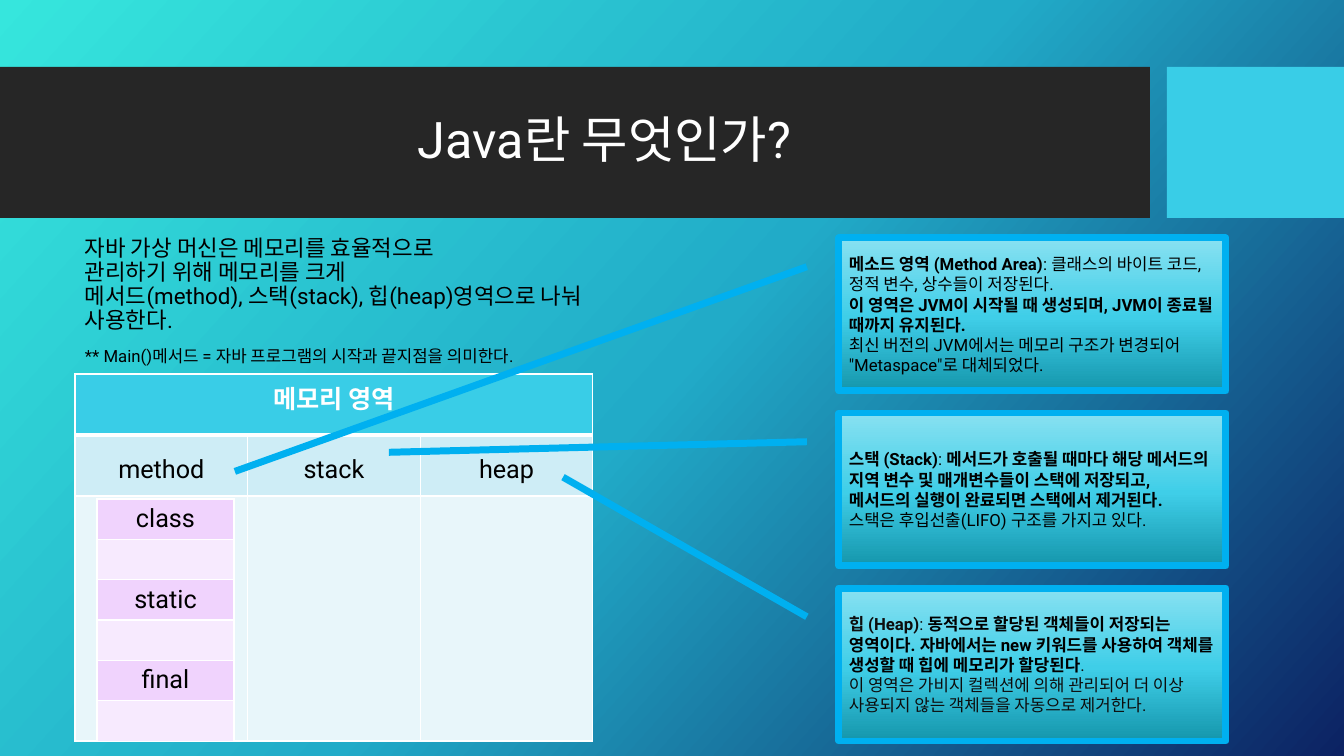
import pptx
import pptx.dml.color
import pptx.enum.shapes
import pptx.enum.text
import pptx.oxml
import pptx.oxml.ns
import pptx.util
from lxml import etree

SLIDE_W, SLIDE_H = 1344, 756
EMU_PER_PX = 914400 / 100.8
FONT = "Roboto"
BLACK, WHITE, CYAN = "000000", "FFFFFF", "39CDE7"
ALIGN = pptx.enum.text.PP_ALIGN
ANCHOR = pptx.enum.text.MSO_ANCHOR
SHAPE = pptx.enum.shapes.MSO_SHAPE

BACKGROUND_STOPS = [(0, "36E6DD"), (50, "21ABC8"), (100, "0C2263")]
CALLOUT_STOPS = [(0, "1596AC"), (48, "3FCEE8"), (100, "88E1F1")]

# Each callout: pointer tip (y, x as shares of the box), then paragraphs of (text, bold, colour)
CALLOUTS = [
    ((1.526, -1.561), [
        [("메소드 영역 (Method Area)", True, BLACK),
         (": 클래스의 바이트 코드, 정적 변수, 상수들이 저장된다.", False, BLACK)],
        [("이 영역은 JVM이 시작될 때 생성되며, JVM이 종료될 때까지 유지된다.", True, BLACK)],
        [("최신 버전의 JVM에서는 메모리 구조가 변경되어 \"Metaspace\"로 대체되었다.", False, BLACK)],
    ]),
    ((0.257, -1.163), [
        [("스택 (Stack)", True, BLACK), (": ", False, BLACK),
         ("메서드가 호출될 때마다 해당 메서드의 지역 변수 및 매개변수들이 스택에 저장되고, "
          "메서드의 실행이 완료되면 스택에서 제거된다.", True, BLACK)],
        [("스택은 후입선출(LIFO) 구조를 가지고 있다.", False, BLACK)],
    ]),
    ((-0.725, -0.713), [
        [("힙 (Heap)", True, "0D0D0D"), (": ", False, "0D0D0D"),
         ("동적으로 할당된 객체들이 저장되는 영역이다. 자바에서는 new 키워드를 사용하여 "
          "객체를 생성할 때 힙에 메모리가 할당된다", True, BLACK),
         (".", False, "0D0D0D")],
        [("이 영역은 가비지 컬렉션에 의해 관리되어 더 이상 사용되지 않는 객체들을 "
          "자동으로 제거한다.", False, "0D0D0D")],
    ]),
]


def px(length):
    return pptx.util.Emu(round(length * EMU_PER_PX))


def color(hex_code):
    return pptx.dml.color.RGBColor.from_string(hex_code)


def style(font, size, hex_code, bold=False):
    font.name, font.size, font.bold = FONT, pptx.util.Pt(size), bold
    font.color.rgb = color(hex_code)


def set_gradient(fill, element, stops, clockwise_angle):
    fill.gradient()
    fill.gradient_angle = 360 - clockwise_angle
    stop_list = element.find(".//" + pptx.oxml.ns.qn("a:gsLst"))
    for old_stop in list(stop_list):
        stop_list.remove(old_stop)
    for percent, hex_code in stops:
        stop = etree.SubElement(stop_list, pptx.oxml.ns.qn("a:gs"), pos=str(percent * 1000))
        etree.SubElement(stop, pptx.oxml.ns.qn("a:srgbClr"), val=hex_code)


def add_bar(slide, left, top, width, height, hex_code):
    bar = slide.shapes.add_shape(SHAPE.RECTANGLE, px(left), px(top), px(width), px(height))
    bar.shadow.inherit = False
    bar.fill.solid()
    bar.fill.fore_color.rgb = color(hex_code)
    bar.line.fill.background()


def add_text_frame(slide, left, top, width, height):
    frame = slide.shapes.add_textbox(px(left), px(top), px(width), px(height)).text_frame
    frame.word_wrap = True
    return frame


def add_header(slide, left, top, width, height):
    band_width = 1150
    accent_left = left + band_width + 17
    add_bar(slide, left, top, band_width, height, "262626")
    add_bar(slide, accent_left, top, left + width - accent_left, height, CYAN)
    title = add_text_frame(slide, left + 75, top + 16, 1059, 119)
    title.vertical_anchor = ANCHOR.MIDDLE
    heading = title.paragraphs[0]
    heading.text = "Java란 무엇인가?"
    heading.alignment, heading.line_spacing = ALIGN.CENTER, 0.9
    style(heading.font, 36, WHITE)


def add_intro(slide, left, top, width, height):
    intro = add_text_frame(slide, left, top, width, height)
    summary, footnote = intro.paragraphs[0], intro.add_paragraph()
    summary.text = ("자바 가상 머신은 메모리를 효율적으로 \v관리하기 위해 메모리를 크게 \v"
                    "메서드(method), 스택(stack), 힙(heap)영역으로 나눠 사용한다.")
    footnote.text = "** Main()메서드 = 자바 프로그램의 시작과 끝지점을 의미한다."
    for paragraph, size in ((summary, 16), (footnote, 12)):
        paragraph.line_spacing, paragraph.space_before = 0.9, pptx.util.Pt(10)
        style(paragraph.font, size, BLACK)


def add_borders(cell, bottom_points):
    properties = cell._tc.get_or_add_tcPr()
    widths = {"lnL": 1, "lnR": 1, "lnT": 1, "lnB": bottom_points}
    for position, (side, points) in enumerate(widths.items()):
        properties.insert(position, pptx.oxml.parse_xml(
            f'<a:{side} {pptx.oxml.ns.nsdecls("a")} w="{points * 12700}"><a:solidFill>'
            f'<a:srgbClr val="{WHITE}"/></a:solidFill></a:{side}>'))


def fill_cell(cell, text, hex_code, text_color=BLACK, bold=False, spacing=1.0, bottom=1):
    cell.fill.solid()
    cell.fill.fore_color.rgb = color(hex_code)
    add_borders(cell, bottom)
    label = cell.text_frame.paragraphs[0]
    label.text = text
    label.alignment, label.line_spacing = ALIGN.CENTER, spacing
    style(label.font, 18, text_color, bold)


def add_plain_table(slide, left, top, width, row_heights, column_count):
    table = slide.shapes.add_table(len(row_heights), column_count, px(left), px(top),
                                   px(width), px(sum(row_heights))).table
    table.first_row = table.horz_banding = False
    for column in table.columns:
        column.width = px(width / column_count)
    for row, height in zip(table.rows, row_heights):
        row.height = px(height)
    return table


def add_memory_table(slide, left, top, width, height):
    areas = ["method", "stack", "heap"]
    label_height = height // 6
    memory = add_plain_table(slide, left, top, width,
                             [label_height, label_height, height - 2 * label_height], len(areas))
    for column, area in enumerate(areas):
        fill_cell(memory.cell(0, column), "" if column else "메모리 영역", CYAN, WHITE, True, bottom=3)
        fill_cell(memory.cell(1, column), area, "CEEDF6", spacing=1.5)
        fill_cell(memory.cell(2, column), "", "E8F6FA")
    memory.cell(0, 0).merge(memory.cell(0, len(areas) - 1))


def add_method_items(slide, left, top, width, height):
    items = ["class", "", "static", "", "final", ""]
    table = add_plain_table(slide, left, top, width, [height / len(items)] * len(items), 1)
    for row, item in enumerate(items):
        fill_cell(table.cell(row, 0), item, "F0D3FD" if item else "F7EAFE")


def add_callout(slide, left, top, width, height, tip, paragraphs):
    callout = slide.shapes.add_shape(SHAPE.LINE_CALLOUT_1, px(left), px(top), px(width), px(height))
    callout.shadow.inherit = False
    for index, share in enumerate((0.188, -0.083, *tip)):
        callout.adjustments[index] = share
    set_gradient(callout.fill, callout.element, CALLOUT_STOPS, 270)
    callout.line.color.rgb = color("00B0F0")
    callout.line.width = pptx.util.Pt(5)
    frame = callout.text_frame
    frame.word_wrap, frame.vertical_anchor = True, ANCHOR.MIDDLE
    for index, parts in enumerate(paragraphs):
        paragraph = frame.add_paragraph() if index else frame.paragraphs[0]
        paragraph.alignment = ALIGN.LEFT
        for text, bold, hex_code in parts:
            run = paragraph.add_run()
            run.text = text
            style(run.font, 12, hex_code, bold)


def add_callouts(slide, left, top, width, height):
    pitch = 175
    box_height = height - pitch * (len(CALLOUTS) - 1)
    for index, (tip, paragraphs) in enumerate(CALLOUTS):
        add_callout(slide, left, top + index * pitch, width, box_height, tip, paragraphs)


def main():
    deck = pptx.Presentation()
    deck.slide_width, deck.slide_height = px(SLIDE_W), px(SLIDE_H)
    slide = deck.slides.add_slide(deck.slide_layouts[6])
    set_gradient(slide.background.fill, slide.element, BACKGROUND_STOPS, 42)
    add_header(slide, 0, 67, SLIDE_W, 151)
    add_intro(slide, 75, 232, 518, 410)
    add_memory_table(slide, 75, 374, 518, 367)
    add_method_items(slide, 97, 499, 137, 242)
    add_callouts(slide, 839, 238, 387, 503)
    deck.save("out.pptx")


if __name__ == "__main__":
    main()
